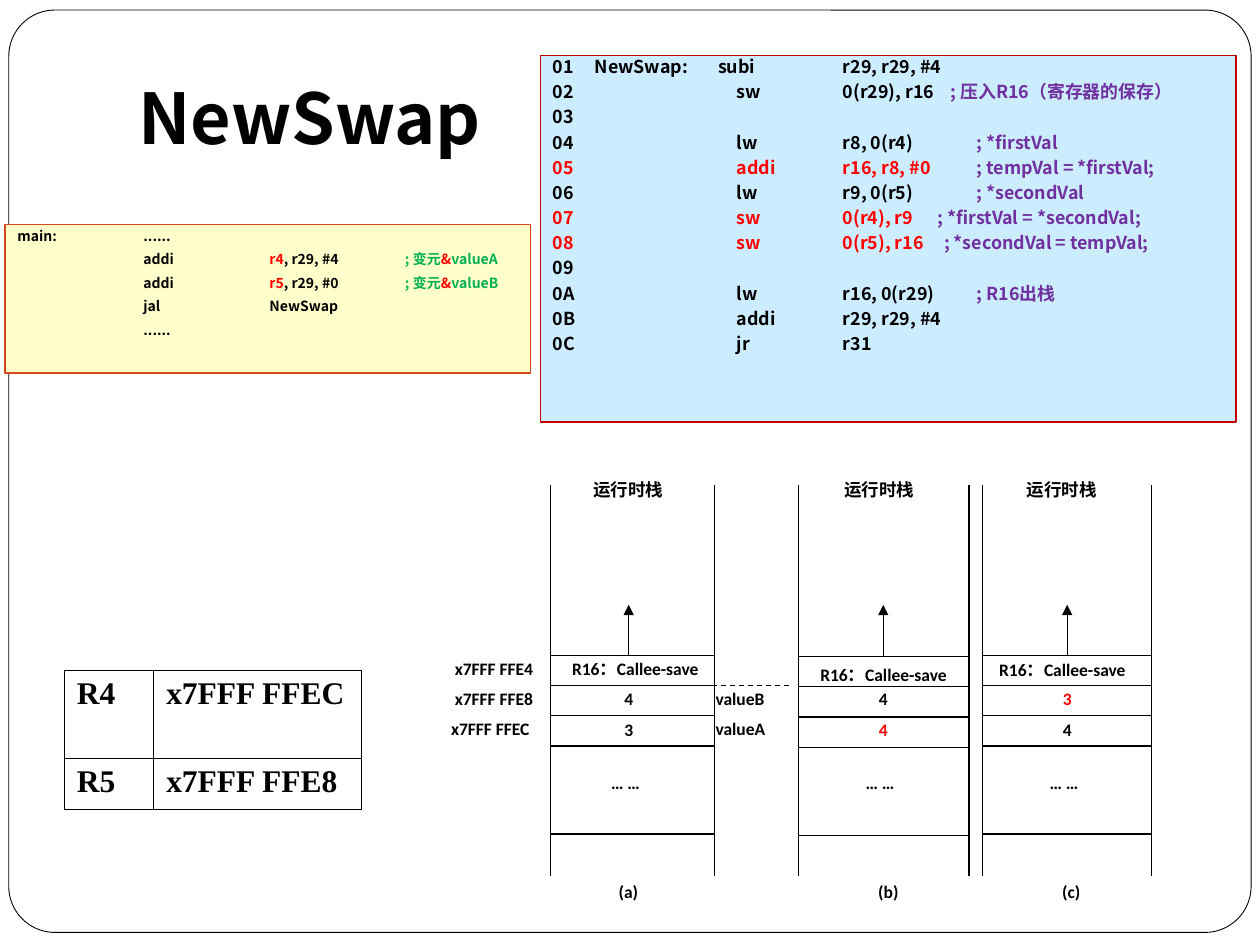
from dataclasses import dataclass

from lxml import etree
from pptx import Presentation
from pptx import util as u
from pptx.dml.color import RGBColor
from pptx.enum import dml, shapes, text
from pptx.oxml import ns, parse_xml

COLUMNS, ROWS = 100, 75  # grid cells of a tenth of an inch
SANS, LABEL, SERIF = "Noto Sans CJK SC", "Calibri", "Times New Roman"
BLACK, RED, PURPLE, GREEN = "000000", "FF0000", "7030A0", "00B050"
RUNG_STEP, LAST_RUNG = 2.4, 14.2

CALLEE_CODE = [
    [("01\t NewSwap:\u3000   subi\tr29, r29, #4", BLACK)],
    [("02\t\t     sw\t0(r29), r16    ", BLACK), ("; 压入R16（寄存器的保存）", PURPLE)],
    [("03", BLACK)],
    [("04\t\t     lw\tr8, 0(r4)\t  ", BLACK), ("; *firstVal", PURPLE)],
    [("05\t\t     addi\tr16, r8, #0\t  ", RED), ("; tempVal = *firstVal;", PURPLE)],
    [("06\t\t     lw\tr9, 0(r5)\t  ", BLACK), ("; *secondVal", PURPLE)],
    [("07\t\t     sw\t0(r4), r9      ", RED), ("; *firstVal = *secondVal;", PURPLE)],
    [("08\t\t     sw\t0(r5), r16     ", RED), ("; *secondVal = tempVal;", PURPLE)],
    [("09\t\t", BLACK)],
    [("0A\t\t     lw\tr16, 0(r29)\t  ", BLACK), ("; R16出栈", PURPLE)],
    [("0B\t\t     addi\tr29, r29, #4", BLACK)],
    [("0C\t\t     jr\tr31", BLACK)],
]


def argument_line(register, offset, variable):
    return [("\taddi\t", BLACK), (register, RED), (f", r29, #{offset}\t   ", BLACK),
            ("; 变元", GREEN), ("&", RED), (variable, GREEN)]


CALLER_CODE = [
    [("main:\u3000\t......", BLACK)],
    argument_line("r4", 4, "valueA"),
    argument_line("r5", 0, "valueB"),
    [("\tjal\tNewSwap", BLACK)],
    [("\t......", BLACK)],
]


@dataclass
class Stack:
    name: str
    left: float
    right: float
    top: float
    axis: float
    title_left: float
    name_left: float
    saved_at: tuple
    values: tuple


STACKS = [
    Stack("(a)", 43.7, 56.7, 52, 49.9, 46.9, 48.9, (45.2, 52.1), (("4", BLACK), ("3", BLACK))),
    Stack("(b)", 63.4, 76.9, 52.1, 70.1, 66.8, 69.5, (64.9, 52.6), (("4", BLACK), ("4", RED))),
    Stack("(c)", 78, 91.4, 52, 84.7, 81.3, 84.1, (79.1, 52.2), (("3", RED), ("4", BLACK))),
]


def cells(*counts):
    return [u.Inches(count / 10) for count in counts]


def rgb(value):
    return RGBColor.from_string(value)


def write_text(frame, lines, font=SANS, size=10, align=None, spacing=None,
               before=0, hanging=0, tabs=False, anchor=text.MSO_ANCHOR.TOP, insets=(1, 0.5)):
    """Fill a text frame; each line is a list of (words, colour) runs."""
    frame.word_wrap = True
    frame.vertical_anchor = anchor
    frame.margin_left = frame.margin_right = cells(insets[0])[0]
    frame.margin_top = frame.margin_bottom = cells(insets[1])[0]
    for index, line in enumerate(lines):
        paragraph = frame.add_paragraph() if index else frame.paragraphs[0]
        properties = paragraph._p.get_or_add_pPr()
        if tabs:
            properties.set("defTabSz", str(u.Inches(1)))
            tab_list = etree.SubElement(properties, ns.qn("a:tabLst"))
            for inch in range(8):
                etree.SubElement(tab_list, ns.qn("a:tab"), pos=str(u.Inches(inch)), algn="l")
        if hanging:
            indent = cells(hanging)[0]
            properties.set("marL", str(indent))
            properties.set("indent", str(-indent))
        paragraph.alignment = align or text.PP_ALIGN.LEFT
        if spacing:
            paragraph.line_spacing = spacing
        if index and before:
            paragraph.space_before = u.Pt(before)
        for words, color in line:
            run = paragraph.add_run()
            run.text = words
            run.font.name, run.font.size, run.font.bold = font, u.Pt(size), True
            run.font.color.rgb = rgb(color)
            latin = run._r.rPr.find(ns.qn("a:latin"))
            latin.addnext(latin.makeelement(ns.qn("a:ea"), {"typeface": SANS}))


def add_box(slide, kind, place, fill, line, width):
    shape = slide.shapes.add_shape(kind, *cells(*place))
    shape.shadow.inherit = False
    shape.fill.solid()
    shape.fill.fore_color.rgb = rgb(fill)
    shape.line.color.rgb = rgb(line)
    shape.line.width = u.Pt(width)
    return shape


def add_label(slide, left, top, width, words, color=BLACK):
    box = slide.shapes.add_textbox(*cells(left, top, width, 2.5))
    write_text(box.text_frame, [[(words, color)]], font=LABEL,
               align=text.PP_ALIGN.JUSTIFY, insets=(0.2, 0.1))


def add_line(slide, start, end, dashed=False, arrow=False):
    line = slide.shapes.add_connector(shapes.MSO_CONNECTOR.STRAIGHT, *cells(*start, *end))
    line.line.color.rgb = rgb(BLACK)
    line.line.width = u.Pt(0.75)
    if dashed:
        line.line.dash_style = dml.MSO_LINE.DASH
    if arrow:
        etree.SubElement(line.line._get_or_add_ln(), ns.qn("a:tailEnd"), type="triangle")
    etree.SubElement(line._element.spPr, ns.qn("a:effectLst"))


def add_stack(slide, stack):
    for side in (stack.left, stack.right):
        add_line(slide, (side, 38.5), (side, 69.5))
    for drop in [RUNG_STEP * step for step in range(4)] + [LAST_RUNG]:
        add_line(slide, (stack.left, stack.top + drop), (stack.right, stack.top + drop))
    add_line(slide, (stack.axis, stack.top), (stack.axis, 48), arrow=True)
    add_label(slide, stack.title_left, 37.9, 8.2, "运行时栈")
    add_label(slide, *stack.saved_at, 11.8, "R16：Callee-save")
    for row, (value, color) in enumerate(stack.values):
        add_label(slide, stack.axis - 0.55, 54.5 + 2.5 * row, 1.9, value, color)
    add_label(slide, stack.axis - 1.6, 61.2, 4.8, "… …")
    add_label(slide, stack.name_left, 69.8, 2.8, stack.name)


def add_border(cell):
    properties = cell._tc.get_or_add_tcPr()
    for index, edge in enumerate(("lnL", "lnR", "lnT", "lnB")):
        properties.insert(index, parse_xml(
            f'<a:{edge} {ns.nsdecls("a")} w="{u.Pt(0.45)}"><a:solidFill>'
            f'<a:srgbClr val="{BLACK}"/></a:solidFill></a:{edge}>'))


def add_registers(slide, rows, widths, heights):
    table = slide.shapes.add_table(
        len(rows), len(widths), *cells(5.1, 53.2, sum(widths), sum(heights))).table
    table.first_row = table.horz_banding = False
    for column, width in zip(table.columns, cells(*widths)):
        column.width = width
    for row, height, values in zip(table.rows, cells(*heights), rows):
        row.height = height
        for cell, value in zip(row.cells, values):
            write_text(cell.text_frame, [[(value, BLACK)]], font=SERIF, size=18)
            cell.fill.background()
            add_border(cell)


def main():
    presentation = Presentation()
    presentation.slide_width, presentation.slide_height = cells(COLUMNS, ROWS)
    slide = presentation.slides.add_slide(presentation.slide_layouts[6])

    frame = add_box(slide, shapes.MSO_SHAPE.ROUNDED_RECTANGLE,
                    (0.7, 0.8, 98.6, 73.2), "FFFFFF", BLACK, 0.5)
    frame.adjustments[0] = 0.05
    title = slide.shapes.add_textbox(*cells(10, 3, 85, 12.5))
    write_text(title.text_frame, [[("NewSwap", BLACK)]], size=40,
               anchor=text.MSO_ANCHOR.MIDDLE)

    callee = add_box(slide, shapes.MSO_SHAPE.RECTANGLE,
                     (42.9, 4.4, 55.2, 29.1), "CCECFF", "C00000", 0.75)
    write_text(callee.text_frame, CALLEE_CODE, size=10.2, spacing=0.7,
               before=5.8, hanging=3, tabs=True)
    caller = add_box(slide, shapes.MSO_SHAPE.RECTANGLE,
                     (0.4, 17.8, 41.7, 11.8), "FFFFCC", "D34817", 0.75)
    write_text(caller.text_frame, CALLER_CODE, size=8, spacing=0.8, before=5.8, tabs=True)

    for stack in STACKS:
        add_stack(slide, stack)
    add_line(slide, (56.5, 54.4), (62.7, 54.4), dashed=True)
    for row, (left, address) in enumerate(
            [(35.9, "x7FFF FFE4"), (35.9, "x7FFF FFE8"), (35.6, "x7FFF FFEC")]):
        add_label(slide, left, 52.1 + RUNG_STEP * row, 8.5, address)
    for row, variable in enumerate(("valueB", "valueA")):
        add_label(slide, 56.6, 54.5 + RUNG_STEP * row, 5.3, variable)

    add_registers(slide, [("R4", "x7FFF FFEC"), ("R5", "x7FFF FFE8")], (7.1, 16.5), (7, 4))
    presentation.save("out.pptx")


if __name__ == "__main__":
    main()
